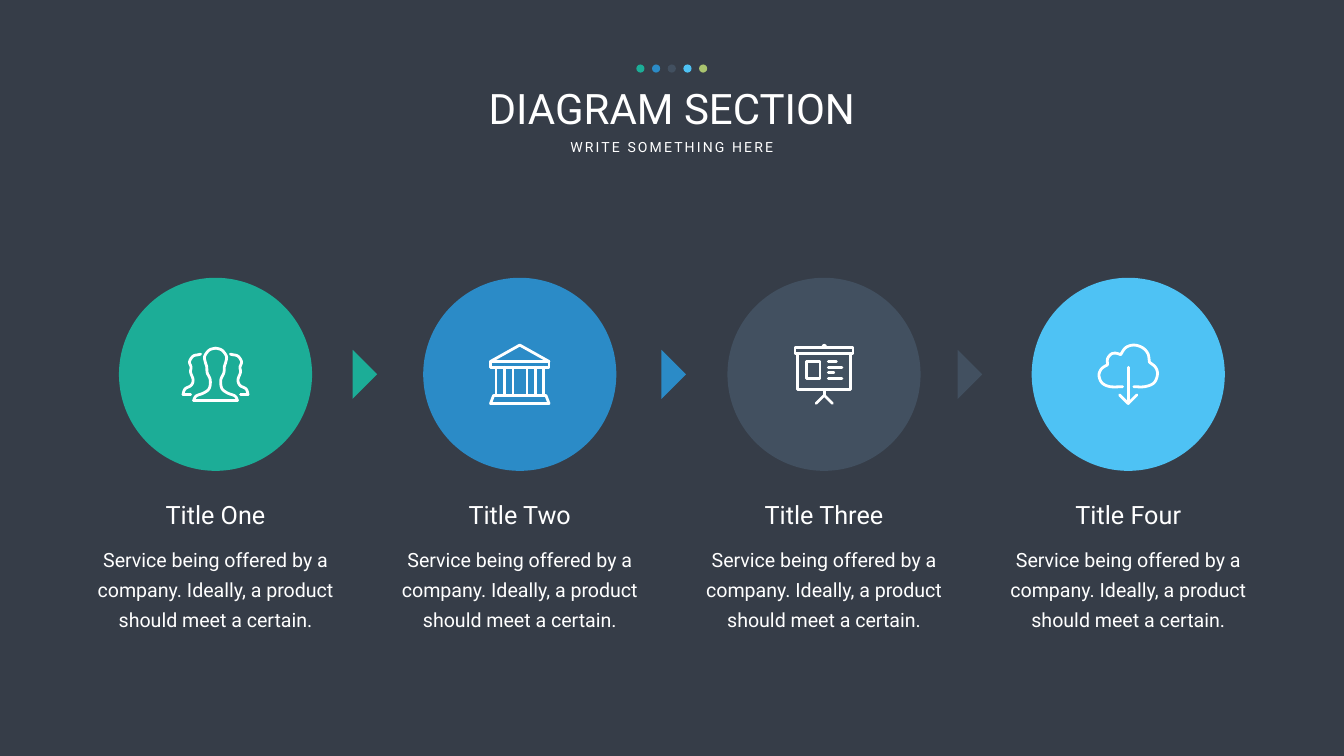
from dataclasses import dataclass

from pptx import Presentation
from pptx.dml.color import RGBColor
from pptx.enum.shapes import MSO_SHAPE as Form
from pptx.enum.text import MSO_AUTO_SIZE as Fit, PP_ALIGN as Align
from pptx.oxml.ns import qn
from pptx.util import Cm, Pt


@dataclass(frozen=True)
class Theme:
    """Colours, font and type sizes of the slide."""
    back: str = "363D48"
    ink: str = "FFFFFF"
    hues: tuple = ("1CAD97", "2B8BC7", "425060", "4EC2F4", "AAC46F")
    font: str = "Roboto"
    head: int = 60
    sub: int = 20
    title: int = 36
    body: int = 28
    lead: int = 43
    track: int = 3
    pen: int = 4


THEME = Theme()
BODY = "Service being offered by a company. Ideally, a product should meet a certain."


def rect(left, top, right, low):
    """Return a closed rectangular stroke."""
    return "closed", [(left, top), (right, top), (right, low), (left, low)]


def line(*dots):
    """Return an open straight stroke."""
    return "open", list(dots)


def curve(*dots, steps=8):
    """Return an open smooth stroke that passes through the dots."""
    ends = [dots[0], *dots, dots[-1]]
    path = [dots[0]]
    for a, b, c, d in zip(ends, ends[1:], ends[2:], ends[3:]):
        for k in range(1, steps + 1):
            t = k / steps
            path.append(tuple(
                q + t / 2 * (r - p + t * (2 * p - 5 * q + 4 * r - s + t * (3 * q - p - 3 * r + s)))
                for p, q, r, s in zip(a, b, c, d)))
    return "open", path


def flip(dots, width):
    """Mirror dots across the middle of the given width."""
    return [(width - x, y) for x, y in dots]


def team():
    """Return the size and strokes of the people icon."""
    wide = 135
    half = [(67.5, 3), (80, 7), (89, 19), (88, 30), (85, 40), (84, 52), (78, 66),
            (80, 83), (91, 92), (106, 98), (111, 107)]
    side = [(97, 15), (101, 16), (112, 19), (119, 30), (116, 41), (117, 51),
            (112, 66), (116, 77), (128, 84), (132, 95)]
    strokes = [line((24, 107), (111, 107)), line((117, 95), (132, 95)), line((3, 95), (18, 95))]
    strokes += [curve(*dots) for part in (half, side) for dots in (part, flip(part, wide))]
    return (wide, 110), strokes


def bank():
    """Return the size and strokes of the bank icon."""
    posts = [line((x, 47), (x, 103)) for x in (14, 31, 47.5, 75.5, 92, 108)]
    roof = "closed", [(3, 35.5), (61, 3), (119, 35.5)]
    base = "closed", [(9, 103), (113, 103), (119, 119), (3, 119)]
    return (122, 122), [roof, rect(3, 35.5, 119, 47), *posts, base]


def board():
    """Return the size and strokes of the board icon."""
    rows = [line((69, y), (x, y)) for x, y in ((85, 35.5), (96, 46.5), (80, 57.5), (96, 68.5))]
    return (121, 121), [
        rect(3, 8, 118, 19), rect(8.5, 19, 113, 90.5), rect(25, 35.5, 52.5, 69), *rows,
        curve((58, 5), (61, 3), (64, 5)), line((61, 91), (61, 102)),
        line((45, 118), (61, 102), (77, 118))]


def cloud():
    """Return the size and strokes of the cloud icon."""
    return (122, 122), [
        curve((50, 85.5), (25, 85.5), (9, 78), (3, 63), (8, 50), (20, 42)),
        curve((20, 42), (20, 30), (27, 21), (36, 19), (46, 22)),
        curve((46, 22), (56, 8), (72, 3), (89, 8), (100, 20), (103, 37)),
        curve((103, 37), (115, 47), (119, 61), (112, 78), (94, 85.5), (72, 85.5)),
        line((61, 47), (61, 119)), line((44, 102), (61, 119), (78, 102))]


def paint(shape, hue):
    """Give a shape a plain fill without line or shadow."""
    shape.shadow.inherit = False
    shape.fill.solid()
    shape.fill.fore_color.rgb = RGBColor.from_string(hue)
    shape.line.fill.background()


def write(slide, box, text, size, wrap=True, pad=None, lead=None, track=None):
    """Place one centred paragraph in a box."""
    frame = slide.shapes.add_textbox(*box).text_frame
    frame.word_wrap = wrap
    frame.auto_size = Fit.SHAPE_TO_FIT_TEXT
    if pad:
        frame.margin_left = frame.margin_right = pad
        frame.margin_top = frame.margin_bottom = pad // 2
    para = frame.paragraphs[0]
    para.text = text
    para.alignment = Align.CENTER
    if lead:
        para.line_spacing = Pt(lead)
    run = para.runs[0]
    run.font.size = Pt(size)
    run.font.name = THEME.font
    run.font.color.rgb = RGBColor.from_string(THEME.ink)
    if track:
        run.font._element.set("spc", str(track * 100))


def draw(slide, mid, icon):
    """Draw an icon in white strokes around a middle point."""
    (wide, high), strokes = icon
    unit = Cm(2.54) / 100
    pen = None
    for kind, dots in strokes:
        spots = [(mid[0] + (x - wide / 2) * unit, mid[1] + (y - high / 2) * unit) for x, y in dots]
        if pen is None:
            pen = slide.shapes.build_freeform(*spots[0])
        else:
            pen.move_to(*spots[0])
        pen.add_line_segments(spots[1:], close=kind == "closed")
    shape = pen.convert_to_shape()
    shape.shadow.inherit = False
    shape.fill.background()
    shape.line.color.rgb = RGBColor.from_string(THEME.ink)
    shape.line.width = Pt(THEME.pen)
    shape._element.spPr.find(qn("a:ln")).set("cap", "rnd")


def header(slide, left, top, width):
    """Place the row of dots, the heading and the line below it."""
    size, step = Cm(0.41), Cm(0.79)
    start = left + (width - size - step * (len(THEME.hues) - 1)) // 2
    for i, hue in enumerate(THEME.hues):
        paint(slide.shapes.add_shape(Form.OVAL, start + i * step, top, size, size), hue)
    write(slide, (left, top + Cm(0.79), width, Cm(2.82)), "DIAGRAM SECTION", THEME.head)
    span = Cm(11.05)
    write(slide, (left + (width - span) // 2, top + Cm(3.61), span, Cm(1.12)),
          "WRITE SOMETHING HERE", THEME.sub, wrap=False, track=THEME.track)


def column(slide, left, top, width, hue, name, icon, gap):
    """Place one step: circle, icon, title, body and the arrow after it."""
    disc, tip = Cm(9.73), Cm(1.75)
    mid = left + width // 2
    paint(slide.shapes.add_shape(Form.OVAL, mid - disc // 2, top, disc, disc), hue)
    draw(slide, (mid, top + disc // 2), icon)
    if gap:
        arrow = slide.shapes.add_shape(Form.RIGHT_TRIANGLE, left + Cm(gap),
                                       top + (disc - tip) // 2, tip, tip)
        arrow.rotation = 225
        paint(arrow, hue)
    span = Cm(12.75)
    write(slide, (mid - span // 2, top + Cm(11.05), span, Cm(1.8)), name, THEME.title)
    write(slide, (left, top + Cm(12.98), width, Cm(5.08)), BODY, THEME.body,
          pad=Cm(0.61), lead=THEME.lead)


def main():
    """Build the slide and save it."""
    deck = Presentation()
    deck.slide_width, deck.slide_height = Cm(67.72), Cm(38.1)
    slide = deck.slides.add_slide(deck.slide_layouts[6])
    slide.background.fill.solid()
    slide.background.fill.fore_color.rgb = RGBColor.from_string(THEME.back)
    header(slide, Cm(19.56), Cm(3.25), Cm(28.58))
    steps = [("Title One", team(), 12.62), ("Title Two", bank(), 12.85),
             ("Title Three", board(), 12.45), ("Title Four", cloud(), None)]
    for i, (step, hue) in enumerate(zip(steps, THEME.hues)):
        column(slide, Cm(4.27) + i * Cm(15.33), Cm(14), Cm(13.18), hue, *step)
    deck.save("out.pptx")


if __name__ == "__main__":
    main()
